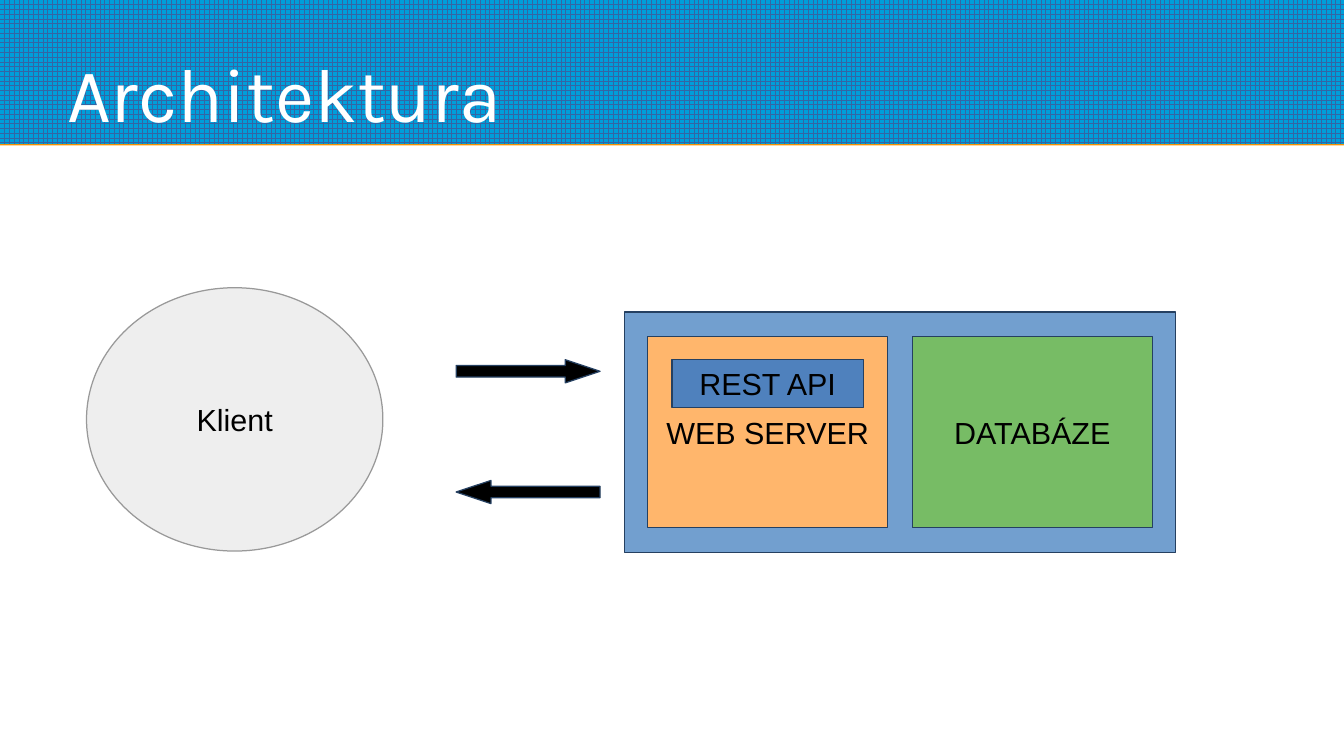
from dataclasses import dataclass

from lxml import etree
from pptx import Presentation
from pptx.dml.color import RGBColor
from pptx.enum.dml import MSO_PATTERN
from pptx.enum.shapes import MSO_SHAPE
from pptx.enum.text import MSO_ANCHOR, PP_ALIGN
from pptx.oxml.ns import qn
from pptx.util import Inches, Pt

RECTANGLE, ELLIPSE = MSO_SHAPE.RECTANGLE, MSO_SHAPE.OVAL
RIGHT_ARROW, LEFT_ARROW = MSO_SHAPE.RIGHT_ARROW, MSO_SHAPE.LEFT_ARROW
LARGE_GRID = MSO_PATTERN.LARGE_GRID
MIDDLE, BOTTOM = MSO_ANCHOR.MIDDLE, MSO_ANCHOR.BOTTOM
LEFT, CENTER = PP_ALIGN.LEFT, PP_ALIGN.CENTER

PAGE_WIDTH, PAGE_HEIGHT = 11.02, 6.2
BAND_HEIGHT = 1.18
NAVY, BLACK, WHITE = "254061", "000000", "FFFFFF"

TITLE_FORMAT = {"name": "Karla", "size": Pt(45)}
LABEL_FORMAT = {"name": "Arial", "size": Pt(18)}
TITLE_FRAME = {"margin_left": 0, "margin_right": 0, "margin_top": 0,
               "margin_bottom": 0, "vertical_anchor": BOTTOM, "word_wrap": True}
LABEL_FRAME = {"vertical_anchor": MIDDLE, "word_wrap": True}


@dataclass
class Part:
    kind: int
    left: float
    top: float
    width: float
    height: float
    fill: str
    line: str = NAVY
    label: str = ""
    adjustments: tuple = ()


SERVER_TOP, SERVER_SIZE = 2.76, (1.97, 1.57)
ARROW_LEFT, ARROW_SIZE, ARROW_SHAPE = 3.74, (1.18, 0.19), (0.5, 1.5)

PARTS = [
    Part(RECTANGLE, 5.12, 2.56, 4.52, 1.97, "729FCF"),
    Part(RECTANGLE, 5.31, SERVER_TOP, *SERVER_SIZE, "FFB66C", label="WEB SERVER"),
    Part(RECTANGLE, 7.48, SERVER_TOP, *SERVER_SIZE, "77BC65", label="DATABÁZE"),
    Part(RECTANGLE, 5.51, 2.95, 1.57, 0.39, "4F81BD", label="REST API"),
    Part(ELLIPSE, 0.71, 2.36, 2.43, 2.16, "EEEEEE", "999999", "Klient"),
    Part(RIGHT_ARROW, ARROW_LEFT, 2.95, *ARROW_SIZE, BLACK, adjustments=ARROW_SHAPE),
    Part(LEFT_ARROW, ARROW_LEFT, 3.94, *ARROW_SIZE, BLACK, adjustments=ARROW_SHAPE),
]


def color(value: str) -> RGBColor:
    return RGBColor.from_string(value)


def set_values(target, values: dict) -> None:
    for name, value in values.items():
        setattr(target, name, value)


def write_text(frame, text: str, frame_format: dict, font_format: dict,
               alignment, ink: str) -> None:
    set_values(frame, frame_format)
    para = frame.paragraphs[0]
    para.alignment = alignment
    span = para.add_run()
    span.text = text
    set_values(span.font, font_format)
    span.font.color.rgb = color(ink)


def draw_band(page) -> None:
    """Draw the patterned title band with its thin orange lower edge."""
    band = page.shapes.add_shape(
        RECTANGLE, 0, 0, Inches(PAGE_WIDTH), Inches(BAND_HEIGHT))
    band.fill.patterned()
    band.fill.pattern = LARGE_GRID
    band.fill.fore_color.rgb = color("3465A4")
    band.fill.back_color.rgb = color("009EDA")
    band.line.fill.background()
    band.shadow.inherit = False
    effects = band.element.spPr.find(qn("a:effectLst"))
    shadow = etree.SubElement(effects, qn("a:outerShdw"), blurRad="0",
                              dist=str(Pt(0.9)), dir="5400000", rotWithShape="0")
    etree.SubElement(shadow, qn("a:srgbClr"), val="F49100")


def draw_title(page, text: str) -> None:
    box = page.shapes.add_textbox(Inches(0.55), Inches(0.1), Inches(9.92), Inches(1.03))
    write_text(box.text_frame, text, TITLE_FRAME, TITLE_FORMAT, LEFT, WHITE)


def draw_part(page, part: Part) -> None:
    lengths = (part.left, part.top, part.width, part.height)
    shape = page.shapes.add_shape(part.kind, *map(Inches, lengths))
    shape.shadow.inherit = False
    shape.fill.solid()
    shape.fill.fore_color.rgb = color(part.fill)
    shape.line.color.rgb = color(part.line)
    shape.line.width = 0
    for index, value in enumerate(part.adjustments):
        shape.adjustments[index] = value
    if part.label:
        write_text(shape.text_frame, part.label, LABEL_FRAME, LABEL_FORMAT, CENTER, BLACK)


def main() -> None:
    deck = Presentation()
    deck.slide_width, deck.slide_height = Inches(PAGE_WIDTH), Inches(PAGE_HEIGHT)
    page = deck.slides.add_slide(deck.slide_layouts[6])
    draw_band(page)
    draw_title(page, "Architektura")
    for part in PARTS:
        draw_part(page, part)
    deck.save("out.pptx")


if __name__ == "__main__":
    main()
